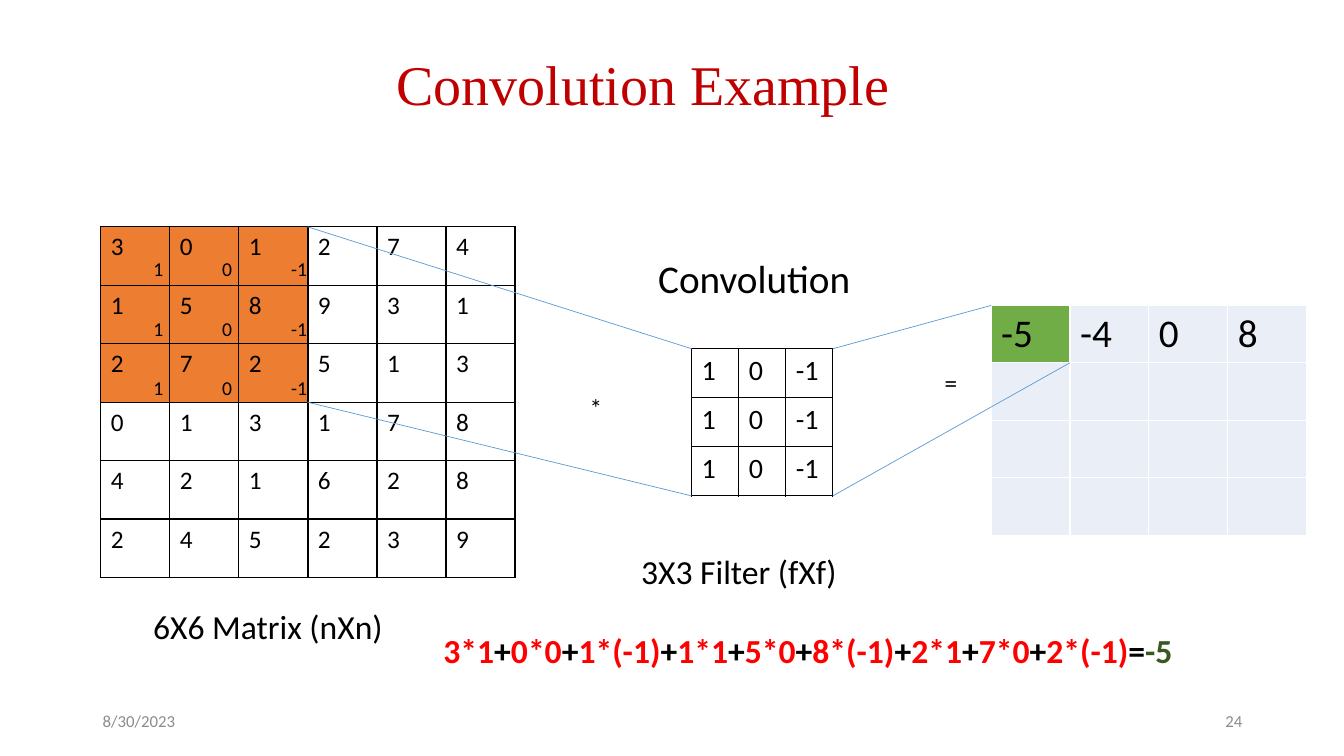
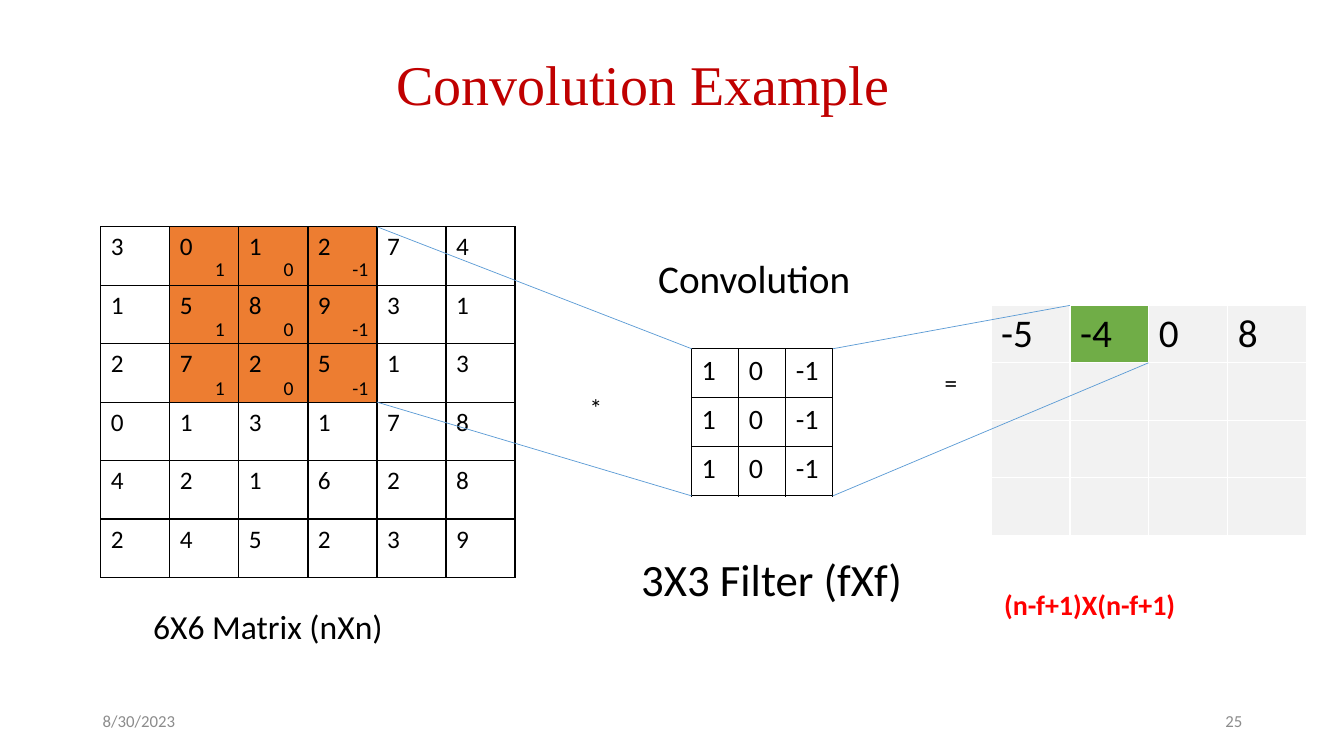
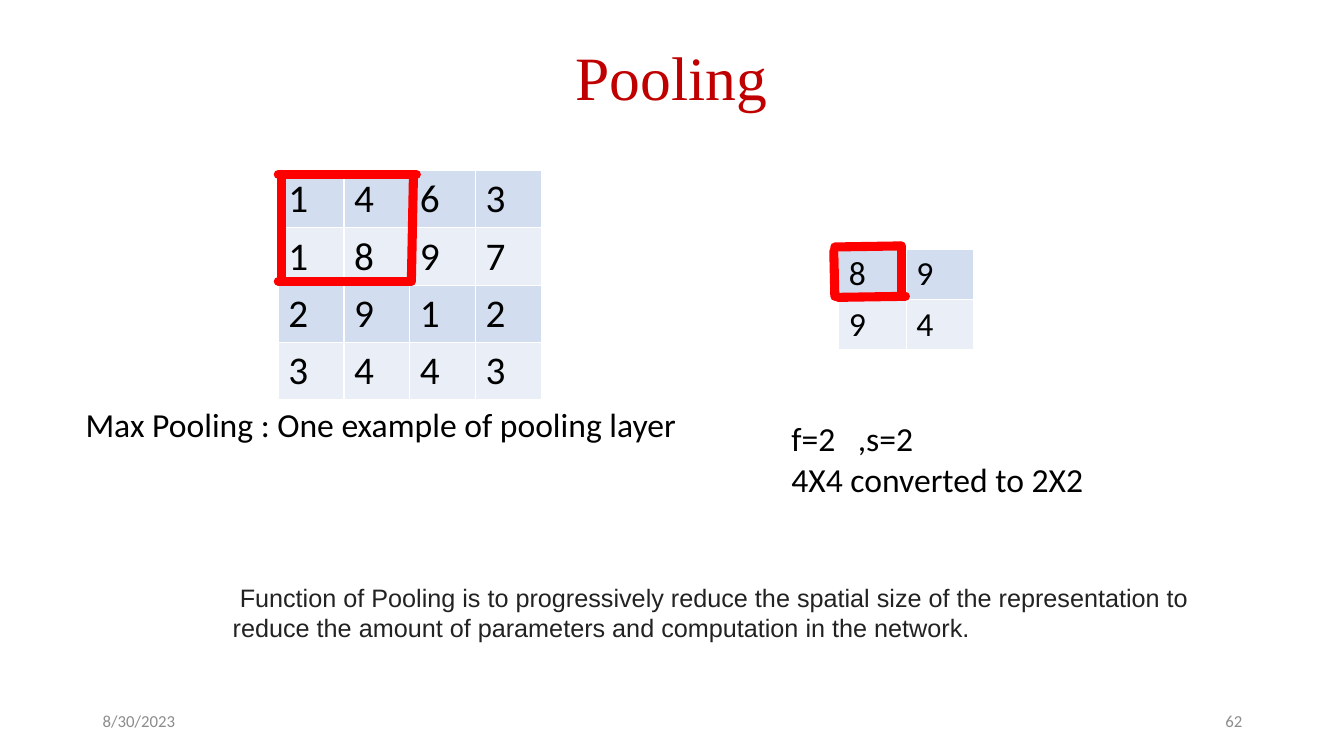
from lxml import etree
from pptx import Presentation
from pptx.dml.color import RGBColor
from pptx.enum.shapes import MSO_CONNECTOR
from pptx.enum.text import MSO_ANCHOR, MSO_AUTO_SIZE, PP_ALIGN
from pptx.oxml.ns import qn
from pptx.util import Emu, Pt

STRAIGHT = MSO_CONNECTOR.STRAIGHT
TOP, MIDDLE = MSO_ANCHOR.TOP, MSO_ANCHOR.MIDDLE
LEFT, CENTER, RIGHT = PP_ALIGN.LEFT, PP_ALIGN.CENTER, PP_ALIGN.RIGHT
GROW = MSO_AUTO_SIZE.SHAPE_TO_FIT_TEXT
PX = 9144
TITLE_ONLY = 5

COLORS = {
    "black": "000000",
    "white": "FFFFFF",
    "title": "C00000",
    "red": "FF0000",
    "answer": "385723",
    "footer": "8C8C8C",
    "body": "222222",
    "patch": "ED7D31",
    "result": "70AD47",
    "pale": "EAEFF7",
    "band": "D2DEEF",
    "gray": "F2F2F2",
    "guide": "5B9BD5",
}

MATRIX = ["301274", "158931", "272513", "013178", "421628", "245239"]
FILTER = [["1", "0", "-1"]] * 3
RESULT = [["-5", "-4", "0", "8"]] + [[""] * 4] * 3
POOL_INPUT = ["1463", "1897", "2912", "3443"]
POOL_OUTPUT = ["89", "94"]

MATRIX_BOX = (100, 225, 411, 348)
FILTER_BOX = (686, 346, 140, 146)
RESULT_BOX = (983, 303, 313, 228)
TERMS = ["3*1", "0*0", "1*(-1)", "1*1", "5*0", "8*(-1)", "2*1", "7*0", "2*(-1)"]

POOL_STROKES = [
    (276, 173, 413, 173), (410, 177, 408, 279),
    (279, 173, 279, 279), (276, 279, 408, 279),
    (828, 245, 893, 244), (894, 244, 894, 289),
    (827, 249, 828, 294), (831, 295, 898, 294),
]


def px(*lengths):
    return [Emu(length * PX) for length in lengths]


def color(name):
    return RGBColor.from_string(COLORS[name])


class SlideMaker:
    def __init__(self):
        self.deck = Presentation()
        self.deck.slide_width, self.deck.slide_height = px(1333, 750)
        self.page = None

    def new_page(self, title, box, size, number):
        self.page = self.deck.slides.add_slide(self.deck.slide_layouts[TITLE_ONLY])
        holder = self.page.shapes.title
        holder.left, holder.top, holder.width, holder.height = px(*box)
        holder.text_frame.vertical_anchor = TOP
        holder.text_frame.word_wrap = True
        para = holder.text_frame.paragraphs[0]
        para.text = title
        para.alignment = CENTER
        self.style(para, size, "title", "Times New Roman")
        self.text((92, 695, 300, 40), "8/30/2023", 12, "footer", anchor=MIDDLE)
        self.text((942, 695, 300, 40), number, 12, "footer", anchor=MIDDLE, align=RIGHT)

    def style(self, para, size, ink="black", font="Calibri", bold=False):
        para.font.name = font
        para.font.size = Pt(size)
        para.font.bold = bold
        if ink:
            para.font.color.rgb = color(ink)

    def frame(self, box, anchor=TOP):
        frame = self.page.shapes.add_textbox(*px(*box)).text_frame
        frame.word_wrap = True
        frame.vertical_anchor = anchor
        if anchor == TOP:
            frame.auto_size = GROW
        return frame

    def text(self, box, text, size, ink="black", font="Calibri", bold=False,
             align=LEFT, anchor=TOP, tab=0, indent=0):
        frame = self.frame(box, anchor)
        for index, line in enumerate(text.split("\n")):
            para = frame.add_paragraph() if index else frame.paragraphs[0]
            para.text = line
            para.alignment = align
            properties = para._p.get_or_add_pPr()
            if indent:
                properties.set("indent", str(indent * PX))
            if tab and "\t" in line:
                stops = etree.SubElement(properties, qn("a:tabLst"))
                etree.SubElement(stops, qn("a:tab"), pos=str(tab * PX), algn="l")
            self.style(para, size, ink, font, bold)

    def spans(self, box, spans, size):
        para = self.frame(box).paragraphs[0]
        self.style(para, size, None, bold=True)
        for text, ink in spans:
            span = para.add_run()
            span.text = text
            span.font.color.rgb = color(ink)

    def border(self, cell, ink):
        properties = cell._tc.get_or_add_tcPr()
        for side in ("a:lnL", "a:lnR", "a:lnT", "a:lnB"):
            line = etree.SubElement(properties, qn(side), w=str(Pt(1)))
            if ink:
                fill = etree.SubElement(line, qn("a:solidFill"))
                etree.SubElement(fill, qn("a:srgbClr"), val=COLORS[ink])
            else:
                etree.SubElement(line, qn("a:noFill"))

    def table(self, box, values, size, border=None, fill=lambda row, column: None):
        shape = self.page.shapes.add_table(len(values), len(values[0]), *px(*box))
        table = shape.table
        table.first_row = table.horz_banding = False
        for row, line in enumerate(values):
            for column, value in enumerate(line):
                cell = table.cell(row, column)
                para = cell.text_frame.paragraphs[0]
                para.text = value
                self.style(para, size)
                self.border(cell, border)
                ink = fill(row, column)
                if ink:
                    cell.fill.solid()
                    cell.fill.fore_color.rgb = color(ink)
                else:
                    cell.fill.background()

    def line(self, ends, ink, width, cap="flat"):
        line = self.page.shapes.add_connector(STRAIGHT, *px(*ends))
        line.line.color.rgb = color(ink)
        line.line.width = Pt(width)
        properties = line._element.spPr
        properties.find(qn("a:ln")).set("cap", cap)
        etree.SubElement(properties, qn("a:effectLst"))


def convolution_page(maker, number, step, plain, filter_size):
    maker.new_page("Convolution Example", (38, 44, 1199, 77), 40, number)
    maker.table(FILTER_BOX, FILTER, 20, "black")
    maker.text((575, 384, 44, 40), "*", 18)
    maker.table(RESULT_BOX, RESULT, 28, "white",
                lambda row, column: "result" if (row, column) == (0, step) else plain)
    maker.text((927, 359, 32, 40), "=", 18)
    maker.text((643, 247, 309, 57), "Convolution", 28)
    maker.text((626, 542, 309, 50), "3X3 Filter (fXf)", filter_size)
    maker.text((142, 596, 289, 50), "6X6 Matrix (nXn)", 24)
    maker.table(MATRIX_BOX, MATRIX, 18, "black",
                lambda row, column: "patch" if row < 3 and 0 <= column - step < 3 else None)
    maker.table((142 + 61 * step, 251, 205, 177), FILTER, 14)

    left, top, width, height = MATRIX_BOX
    patch_right = left + width * (step + 3) // 6
    patch_bottom = top + height // 2
    filter_left, filter_top, filter_width, filter_height = FILTER_BOX
    filter_right = filter_left + filter_width
    filter_bottom = filter_top + filter_height
    result_left, result_top, result_width, result_height = RESULT_BOX
    cell_left, cell_right = [result_left + result_width * edge // 4 for edge in (step, step + 1)]
    for ends in [
        (patch_right, top, filter_left, filter_top),
        (patch_right, patch_bottom, filter_left, filter_bottom),
        (filter_right, filter_top, cell_left, result_top),
        (filter_right, filter_bottom, cell_right, result_top + result_height // 4),
    ]:
        maker.line(ends, "guide", 0.5)


def pooling_page(maker):
    def banded(row, column):
        return "pale" if row % 2 else "band"

    maker.new_page("Pooling", (406, 34, 520, 84), 44, "62")
    maker.table((276, 169, 261, 228), POOL_INPUT, 28, "white", banded)
    maker.text((75, 396, 637, 50), "Max Pooling : One example of pooling layer", 24)
    maker.table((832, 247, 134, 100), POOL_OUTPUT, 24, "white", banded)
    maker.text((775, 410, 378, 91), "f=2\t,s=2\n4X4 converted to 2X2", 24, tab=66)
    maker.text((221, 573, 994, 71),
               "Function of Pooling is to progressively reduce the spatial size of the "
               "representation to reduce the amount of parameters and computation in the network.",
               18, "body", "Arial", indent=7)
    for ends in POOL_STROKES:
        maker.line(ends, "red", 6.5, "rnd")


def main():
    maker = SlideMaker()
    convolution_page(maker, "24", 0, "pale", 24)
    formula = []
    for term in TERMS:
        formula += [(term, "red"), ("+", "black")]
    formula[-1:] = [("=", "black"), ("-5", "answer")]
    maker.spans((430, 620, 790, 50), formula, 24)

    convolution_page(maker, "25", 1, "gray", 32)
    maker.text((986, 578, 289, 44), "(n-f+1)X(n-f+1)", 20, "red", bold=True)

    pooling_page(maker)
    maker.deck.save("out.pptx")


if __name__ == "__main__":
    main()
